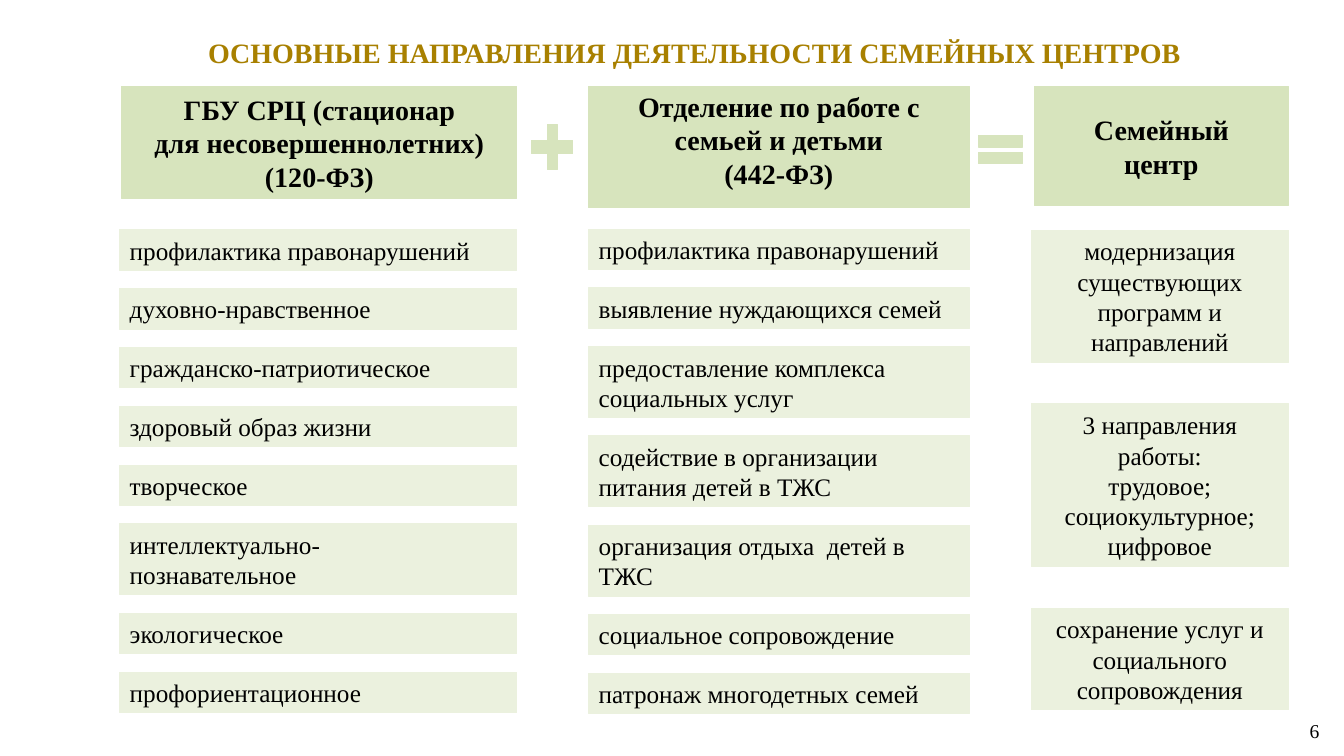
import pptx
import pptx.util
import pptx.dml.color
import pptx.enum.shapes
import pptx.enum.text

Cm = pptx.util.Cm
Pt = pptx.util.Pt
ALIGN = pptx.enum.text.PP_ALIGN
ANCHOR = pptx.enum.text.MSO_ANCHOR
SHAPE = pptx.enum.shapes.MSO_SHAPE

FONT = "Times New Roman"
COLORS = {"title": "A88000", "header": "D7E4BD", "item": "EBF1DE", "text": "000000"}
ITEM_SIZE = 18
LINE_HEIGHT = 0.77  # cm per line of item text
ITEM_PADDING = 0.25  # cm above and below together

# Each item: its paragraphs and the number of lines it takes
SHELTER_ITEMS = [
    (["профилактика правонарушений"], 1),
    (["духовно-нравственное"], 1),
    (["гражданско-патриотическое"], 1),
    (["здоровый образ жизни"], 1),
    (["творческое"], 1),
    (["интеллектуально-", "познавательное"], 2),
    (["экологическое"], 1),
    (["профориентационное"], 1),
]
DEPARTMENT_ITEMS = [
    (["профилактика правонарушений"], 1),
    (["выявление нуждающихся семей"], 1),
    (["предоставление комплекса социальных услуг"], 2),
    (["содействие в организации питания детей в ТЖС"], 2),
    (["организация отдыха  детей в ТЖС"], 2),
    (["социальное сопровождение"], 1),
    (["патронаж многодетных семей"], 1),
]
CENTER_ITEMS = [
    (["модернизация существующих программ и направлений"], 4),
    (["3 направления работы:", "трудовое;", "социокультурное; цифровое"], 5),
    (["сохранение услуг и социального сопровождения"], 3),
]


def rgb(name):
    """Return the palette colour of that name."""
    return pptx.dml.color.RGBColor.from_string(COLORS[name])


def write(shape, paragraphs, size, align, anchor=ANCHOR.MIDDLE, bold=False,
          color="text", margins=(0.25, 0.13), line_spacing=None):
    """Fill a shape with paragraphs of one style; margins are in cm."""
    frame = shape.text_frame
    frame.word_wrap = True
    frame.vertical_anchor = anchor
    frame.margin_left = frame.margin_right = Cm(margins[0])
    frame.margin_top = frame.margin_bottom = Cm(margins[1])
    for index, text in enumerate(paragraphs):
        paragraph = frame.add_paragraph() if index else frame.paragraphs[0]
        paragraph.alignment = align
        paragraph.line_spacing = line_spacing
        run = paragraph.add_run()
        run.text = text
        run.font.name = FONT
        run.font.size = Pt(size)
        run.font.bold = bold
        run.font.color.rgb = rgb(color)


def add_block(slide, kind, box, color):
    """Add a flat shape with fill and line of one colour; box is in cm."""
    shape = slide.shapes.add_shape(kind, *map(Cm, box))
    shape.shadow.inherit = False
    shape.fill.solid()
    shape.fill.fore_color.rgb = rgb(color)
    shape.line.color.rgb = rgb(color)
    shape.line.width = Pt(0.75)
    return shape


def add_title(slide, box):
    """Add the slide title."""
    title = slide.shapes.add_textbox(*map(Cm, box))
    write(title, ["ОСНОВНЫЕ НАПРАВЛЕНИЯ ДЕЯТЕЛЬНОСТИ СЕМЕЙНЫХ ЦЕНТРОВ"], 20,
          ALIGN.CENTER, bold=True, color="title", margins=(0.46, 0.23),
          line_spacing=Pt(33.4))


def add_header(slide, box, paragraphs, anchor=ANCHOR.MIDDLE, margins=(0.25, 0.13)):
    """Add the bold heading above a column."""
    header = add_block(slide, SHAPE.RECTANGLE, box, "header")
    write(header, paragraphs, 20, ALIGN.CENTER, anchor, bold=True, margins=margins)


def add_items(slide, box, items, align=ALIGN.LEFT):
    """Stack the items of a column over the box with equal gaps."""
    left, top, width, height = box
    heights = [lines * LINE_HEIGHT + ITEM_PADDING for _, lines in items]
    gap = (height - sum(heights)) / (len(items) - 1)
    for (paragraphs, _), item_height in zip(items, heights):
        item = add_block(slide, SHAPE.RECTANGLE, (left, top, width, item_height), "item")
        write(item, paragraphs, ITEM_SIZE, align)
        top += item_height + gap


def add_signs(slide, plus_box, equal_box):
    """Add the plus and equals signs between the headings."""
    plus = add_block(slide, SHAPE.CROSS, plus_box, "header")
    plus.adjustments[0] = 0.376
    add_block(slide, SHAPE.MATH_EQUAL, equal_box, "header")


def add_page_number(slide, box):
    """Add the page number at the lower right."""
    number = slide.shapes.add_textbox(*map(Cm, box))
    write(number, ["6"], 14, ALIGN.RIGHT)


def main():
    """Build the slide and save it."""
    presentation = pptx.Presentation()
    presentation.slide_width = Cm(33.87)
    presentation.slide_height = Cm(19.05)
    slide = presentation.slides.add_slide(presentation.slide_layouts[6])

    add_title(slide, (3.3, 0.53, 28.4, 1.24))
    add_header(slide, (3.07, 2.18, 9.96, 2.82),
               ["ГБУ СРЦ (стационар", "для несовершеннолетних) (120-ФЗ)"])
    add_header(slide, (14.83, 2.17, 9.6, 3.07),
               ["Отделение по работе с семьей и детьми", "(442-ФЗ)"],
               ANCHOR.TOP, (0.08, 0.08))
    add_header(slide, (26.07, 2.18, 6.4, 3), ["Семейный", "центр"])
    add_signs(slide, (13.4, 3.15, 1.04, 1.12), (24.45, 3.18, 1.52, 1.19))

    add_items(slide, (3.02, 5.79, 10, 12.17), SHELTER_ITEMS)
    add_items(slide, (14.84, 5.78, 9.6, 12.2), DEPARTMENT_ITEMS)
    add_items(slide, (25.99, 5.8, 6.48, 12.09), CENTER_ITEMS, ALIGN.CENTER)
    add_page_number(slide, (25.88, 17.91, 7.62, 1.02))

    presentation.save("out.pptx")


main()
